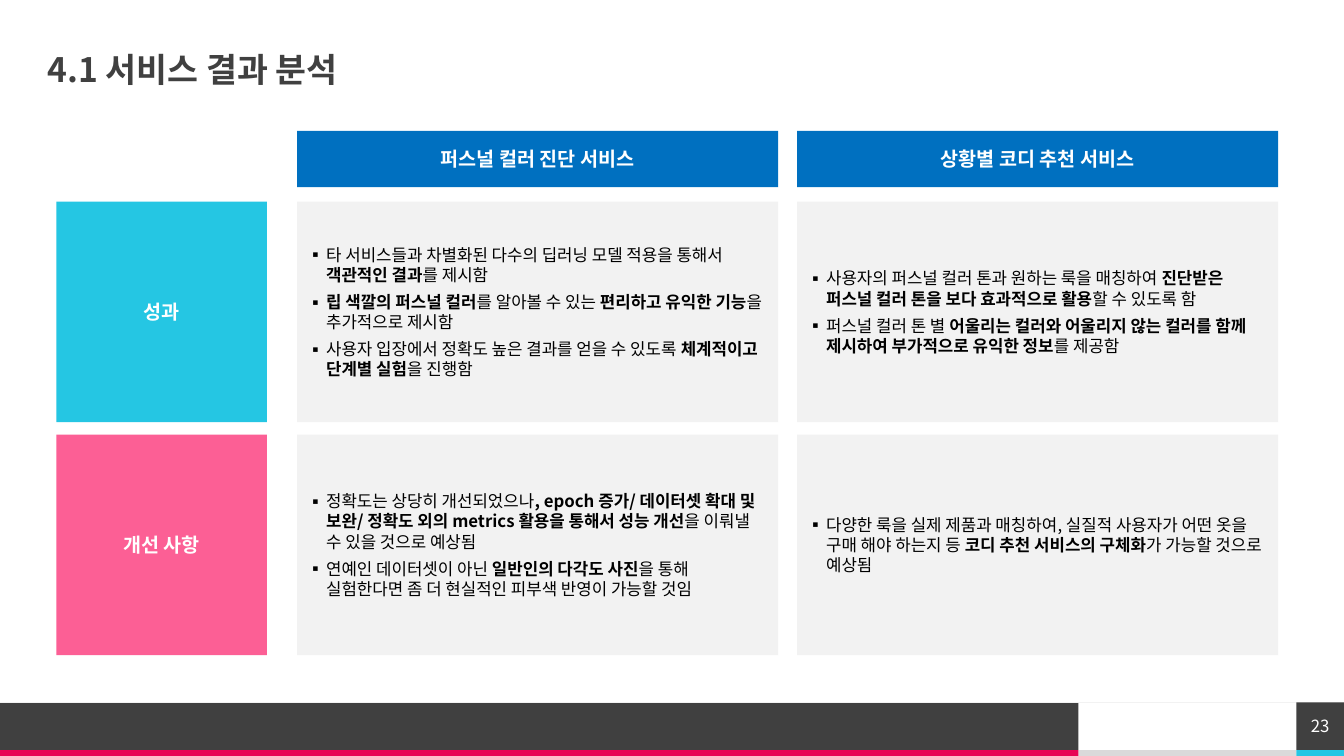
from lxml import etree
from pptx import Presentation
from pptx import util as u
from pptx.dml.color import RGBColor
from pptx.enum import shapes, text
from pptx.oxml.ns import qn

FONT = "Noto Sans CJK KR"
DARK, CYAN, PINK, BLUE = "404040", "25C6E3", "FC5F95", "0070C0"
PALE, WHITE, BLACK = "F2F2F2", "FFFFFF", "000000"

HEADS = ["퍼스널 컬러 진단 서비스", "상황별 코디 추천 서비스"]
# Each row: label, colour, one list of points per column; ** marks bold
ROWS = [
    ("성과", CYAN, [
        ["타 서비스들과 차별화된 다수의 딥러닝 모델 적용을 통해서 **객관적인 결과**를 제시함",
         "**립 색깔의 퍼스널 컬러**를 알아볼 수 있는 **편리하고 유익한 기능**을 추가적으로 제시함",
         "사용자 입장에서 정확도 높은 결과를 얻을 수 있도록 **체계적이고 단계별 실험**을 진행함"],
        ["사용자의 퍼스널 컬러 톤과 원하는 룩을 매칭하여 "
         "**진단받은 퍼스널 컬러 톤을 보다 효과적으로 활용**할 수 있도록 함",
         "퍼스널 컬러 톤 별 **어울리는 컬러와 어울리지 않는 컬러를 함께 제시하여 "
         "부가적으로 유익한 정보**를 제공함"]]),
    ("개선 사항", PINK, [
        ["정확도는 상당히 개선되었으나**, epoch 증가/ 데이터셋 확대 및 보완/ "
         "정확도 외의 metrics 활용을 통해서 성능 개선**을 이뤄낼 수 있을 것으로 예상됨",
         "연예인 데이터셋이 아닌 **일반인의 다각도 사진**을 통해 "
         "실험한다면 좀 더 현실적인 피부색 반영이 가능할 것임"],
        ["다양한 룩을 실제 제품과 매칭하여, 실질적 사용자가 어떤 옷을 구매 해야 하는지 등 "
         "**코디 추천 서비스의 구체화**가 가능할 것으로 예상됨"]]),
]


def rgb(code):
    return RGBColor.from_string(code)


def style(para, size, color, bold=None):
    font = para.font
    font.name, font.size, font.bold = FONT, u.Pt(size), bold
    font.color.rgb = rgb(color)
    latin = para._p.pPr.find(qn("a:defRPr")).find(qn("a:latin"))
    asian = etree.Element(qn("a:ea"), typeface=FONT)
    latin.addnext(asian)


def block(slide, x, y, w, h, fill):
    box = slide.shapes.add_shape(shapes.MSO_SHAPE.RECTANGLE,
                                 u.Cm(x), u.Cm(y), u.Cm(w), u.Cm(h))
    box.shadow.inherit = False
    box.fill.solid()
    box.fill.fore_color.rgb = rgb(fill)
    box.line.fill.background()
    return box


def frame(box, inset=True):
    body = box.text_frame
    body.word_wrap = True
    body.vertical_anchor = text.MSO_ANCHOR.MIDDLE
    if not inset:
        body.margin_left = body.margin_right = 0
        body.margin_top = body.margin_bottom = 0
    return body


def label(box, words, size=14, bold=True, inset=True):
    para = frame(box, inset).paragraphs[0]
    para.text = words
    para.alignment = text.PP_ALIGN.CENTER
    style(para, size, WHITE, bold)


def points(box, lines):
    body = frame(box)
    for i, line in enumerate(lines):
        para = body.add_paragraph() if i else body.paragraphs[0]
        para.alignment = text.PP_ALIGN.LEFT
        para.space_after = u.Pt(5)
        # Hanging square bullet
        props = para._p.get_or_add_pPr()
        props.set("marL", str(u.Cm(0.48)))
        props.set("indent", str(-u.Cm(0.48)))
        etree.SubElement(props, qn("a:buFont"), typeface="Wingdings")
        props[-1].set("typeface", FONT)
        etree.SubElement(props, qn("a:buChar"), char="▪")
        style(para, 12, BLACK)
        for j, part in enumerate(line.split("**")):
            if part:
                run = para.add_run()
                run.text = part
                run.font.bold = j % 2 == 1


def title(slide, x, y, w, h):
    box = slide.shapes.add_textbox(u.Cm(x), u.Cm(y), u.Cm(w), u.Cm(h))
    para = frame(box, inset=False).paragraphs[0]
    para.text = "4.1 서비스 결과 분석"
    para.line_spacing = 0.9
    style(para, 24, DARK, True)


def grid(slide, x, y, w, h):
    side, head, gap = 5.31, 1.42, 0.31
    left, space = x + 6.07, 0.48
    wide = (x + w - left - space) / 2
    top = y + head + 0.36
    tall = (y + h - top - gap) / 2
    cols = [left + i * (wide + space) for i in range(2)]
    # Column heads
    for col, words in zip(cols, HEADS):
        label(block(slide, col, y, wide, head, BLUE), words)
    # Rows with a side label and two cells
    for i, (name, color, cells) in enumerate(ROWS):
        row = top + i * (tall + gap)
        label(block(slide, x, row, side, tall, color), name)
        for col, lines in zip(cols, cells):
            points(block(slide, col, row, wide, tall, PALE), lines)


def footer(slide, x, y, w, h):
    thin, num, bar = 0.15, 1.2, 27.18
    low, end = y + h - thin, x + w - num
    block(slide, x + bar, low, end - x - bar, thin, "DADADA")
    block(slide, x, y, bar, h - thin, DARK)
    block(slide, x, low, bar, thin, "E80554")
    block(slide, end, low, num, thin, CYAN)
    # Hairline on top
    rule = slide.shapes.add_connector(shapes.MSO_CONNECTOR.STRAIGHT,
                                      u.Cm(x + w), u.Cm(y), u.Cm(x), u.Cm(y))
    rule.line.color.rgb = rgb(PALE)
    rule.line.width = u.Pt(0.5)
    etree.SubElement(rule._element.spPr, qn("a:effectLst"))
    # Page number
    page = block(slide, end, y, num, h - thin, DARK)
    label(page, "23", size=12, bold=False, inset=False)


def main():
    deck = Presentation()
    deck.slide_width, deck.slide_height = u.Cm(33.87), u.Cm(19.05)
    slide = deck.slides.add_slide(deck.slide_layouts[6])
    footer(slide, 0, 17.7, 33.87, 1.35)
    title(slide, 1.2, 1.2, 31.5, 1.2)
    grid(slide, 1.42, 3.3, 30.79, 13.21)
    deck.save("out.pptx")


if __name__ == "__main__":
    main()
